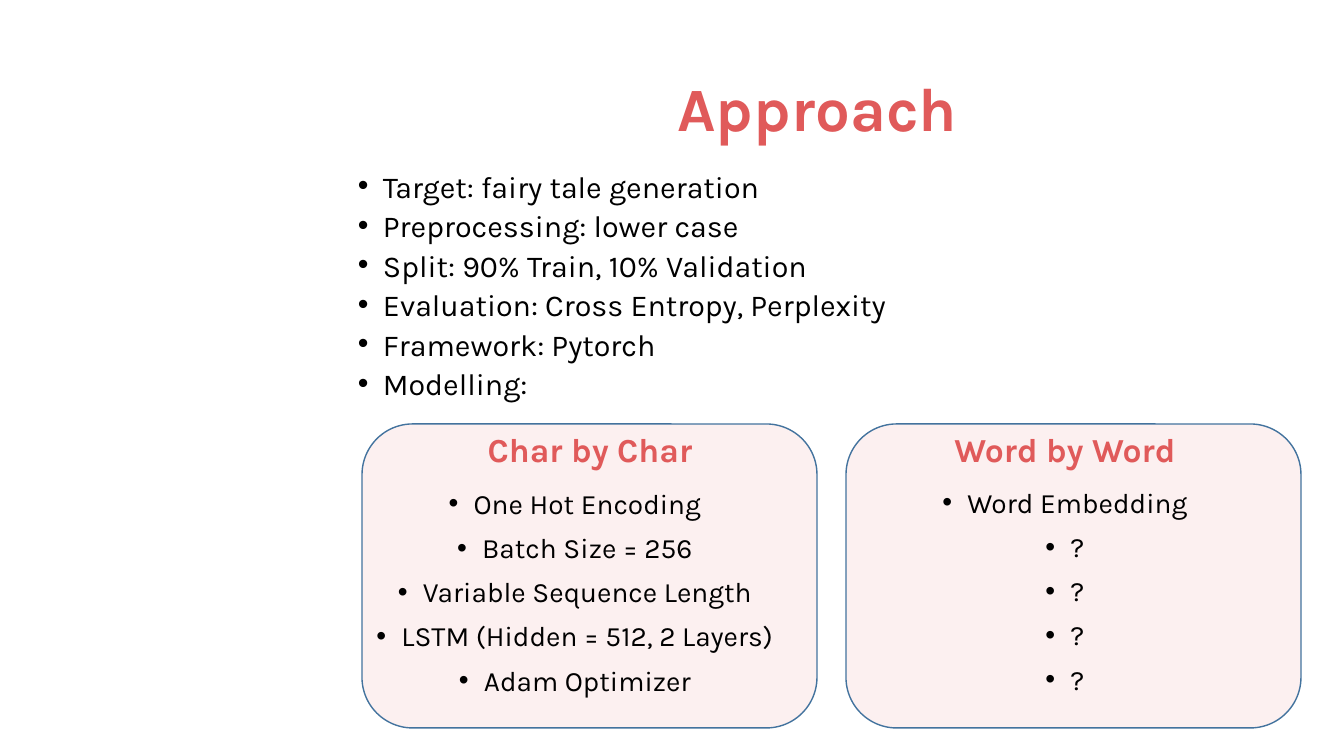
import pptx
import pptx.dml.color
import pptx.enum.shapes
import pptx.enum.text
import pptx.oxml.ns
import pptx.util
from lxml import etree

RGBColor = pptx.dml.color.RGBColor
PP_ALIGN = pptx.enum.text.PP_ALIGN
MSO_ANCHOR = pptx.enum.text.MSO_ANCHOR
qn = pptx.oxml.ns.qn

CORAL = RGBColor(0xE0, 0x5A, 0x5A)
BLUE = RGBColor(0x43, 0x73, 0x9E)
BLACK = RGBColor(0, 0, 0)

PX = 914400 / 100.8  # EMU in one px
SLIDE_W, SLIDE_H = 1344, 756


def px(n):
    return pptx.util.Emu(round(n * PX))


class SlideBuilder:
    font = "Karla"
    indent = 25

    def __init__(self, slide):
        self.slide = slide

    def card(self, x, y, w, h, opacity=9):
        """Rounded box with a see-through fill."""
        sp = self.slide.shapes.add_shape(
            pptx.enum.shapes.MSO_SHAPE.ROUNDED_RECTANGLE, px(x), px(y), px(w), px(h))
        sp.shadow.inherit = False
        sp.fill.solid()
        sp.fill.fore_color.rgb = CORAL
        clr = sp.fill._xPr.find(qn("a:solidFill"))[0]
        etree.SubElement(clr, qn("a:alpha"), val=str(opacity * 1000))
        sp.line.color.rgb = BLUE
        sp.line.width = pptx.util.Pt(1)

    def bullet(self, p):
        pPr = p._p.get_or_add_pPr()
        pPr.set("marL", str(px(self.indent)))
        pPr.set("indent", str(-px(self.indent)))
        etree.SubElement(pPr, qn("a:buFont"), typeface="Arial")
        etree.SubElement(pPr, qn("a:buChar"), char="•")

    def text(self, box, *lines, size=20, color=BLACK, bold=False, bullets=False,
             align=PP_ALIGN.CENTER, anchor=MSO_ANCHOR.TOP, leading=0.9, before=10):
        """Text box with one paragraph per line."""
        tf = self.slide.shapes.add_textbox(*map(px, box)).text_frame
        tf.word_wrap = True
        tf.vertical_anchor = anchor
        for i, line in enumerate(lines):
            p = tf.add_paragraph() if i else tf.paragraphs[0]
            p.alignment = align
            p.line_spacing = leading
            p.space_before = pptx.util.Pt(before)
            if bullets:
                self.bullet(p)
            r = p.add_run()
            r.text = line
            r.font.name = self.font
            r.font.size = pptx.util.Pt(size)
            r.font.bold = bold
            r.font.color.rgb = color


def main():
    prs = pptx.Presentation()
    prs.slide_width, prs.slide_height = px(SLIDE_W), px(SLIDE_H)
    s = SlideBuilder(prs.slides.add_slide(prs.slide_layouts[6]))

    # Title
    s.text((342, 39, 951, 146), "Approach", size=44, color=CORAL, bold=True,
           anchor=MSO_ANCHOR.MIDDLE, before=0)

    # Overview
    s.text((348, 173, 944, 244),
           "Target: fairy tale generation",
           "Preprocessing: lower case",
           "Split: 90% Train, 10% Validation",
           "Evaluation: Cross Entropy, Perplexity",
           "Framework: Pytorch",
           "Modelling:",
           size=21.7, bullets=True, align=PP_ALIGN.LEFT, leading=0.7)

    # Model cards: card left, heading box, list box, heading, points
    models = [
        (362, (348, 417, 484, 58), (333, 485, 484, 369), "Char by Char",
         ["One Hot Encoding", "Batch Size = 256", "Variable Sequence Length",
          "LSTM (Hidden = 512, 2 Layers)", "Adam Optimizer"]),
        (846, (838, 424, 454, 51), (838, 484, 454, 424), "Word by Word",
         ["Word Embedding"] + ["?"] * 4),
    ]
    for card_x, heading_box, list_box, heading, points in models:
        s.card(card_x, 424, 455, 304)
        s.text(heading_box, heading, size=24, color=CORAL, bold=True,
               anchor=MSO_ANCHOR.BOTTOM)
        s.text(list_box, *points, bullets=True)

    prs.save("out.pptx")


if __name__ == "__main__":
    main()
